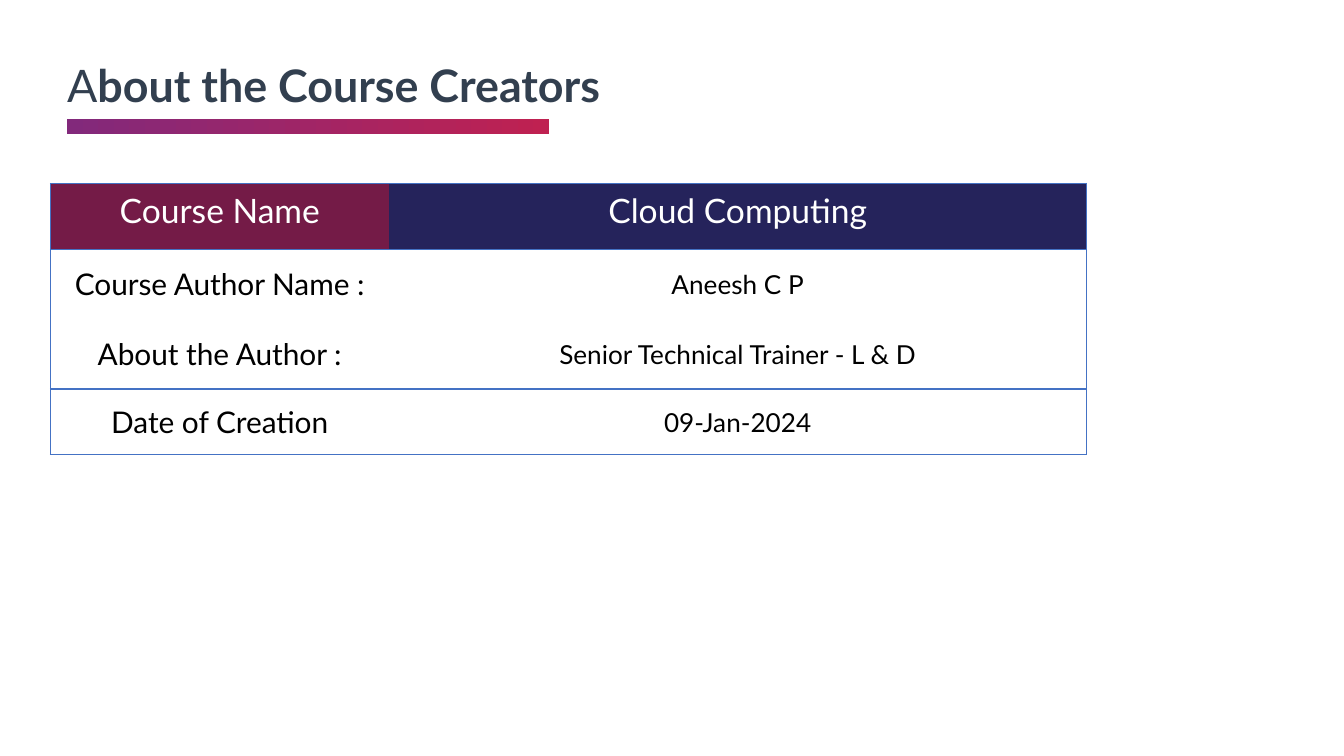
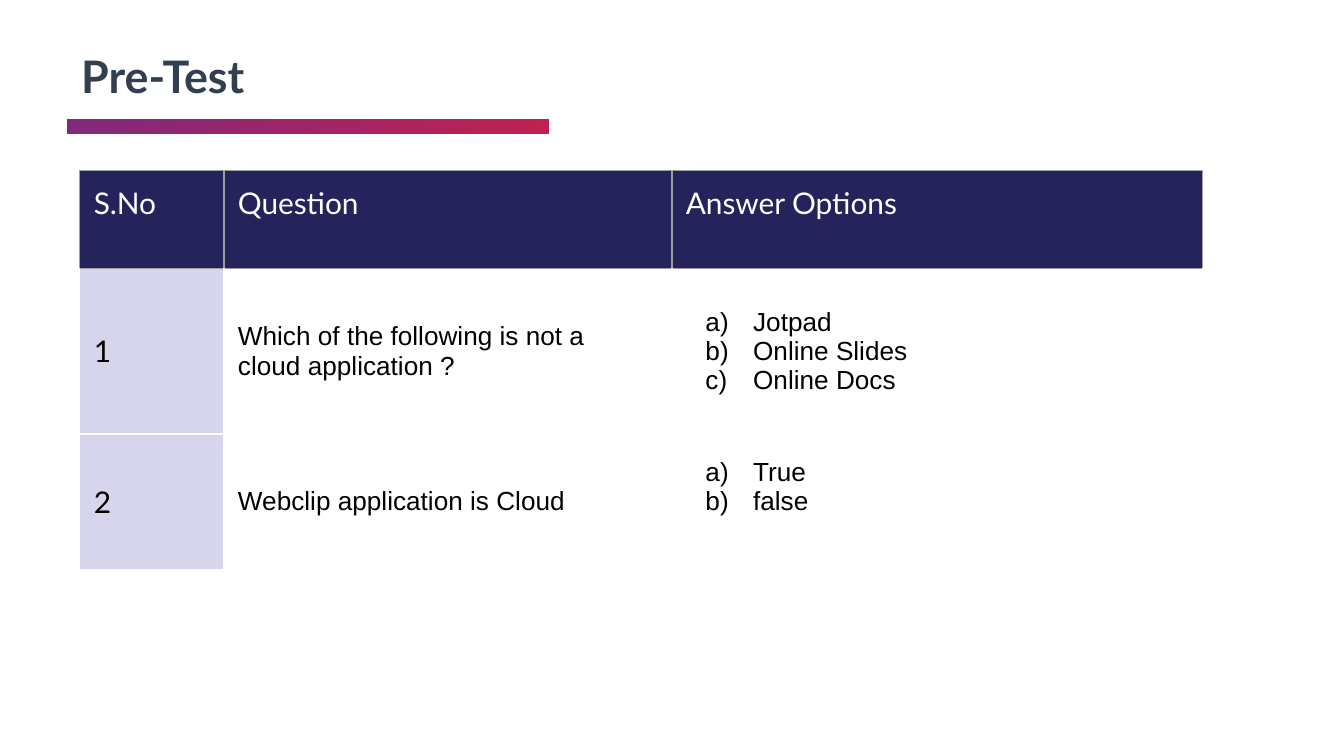
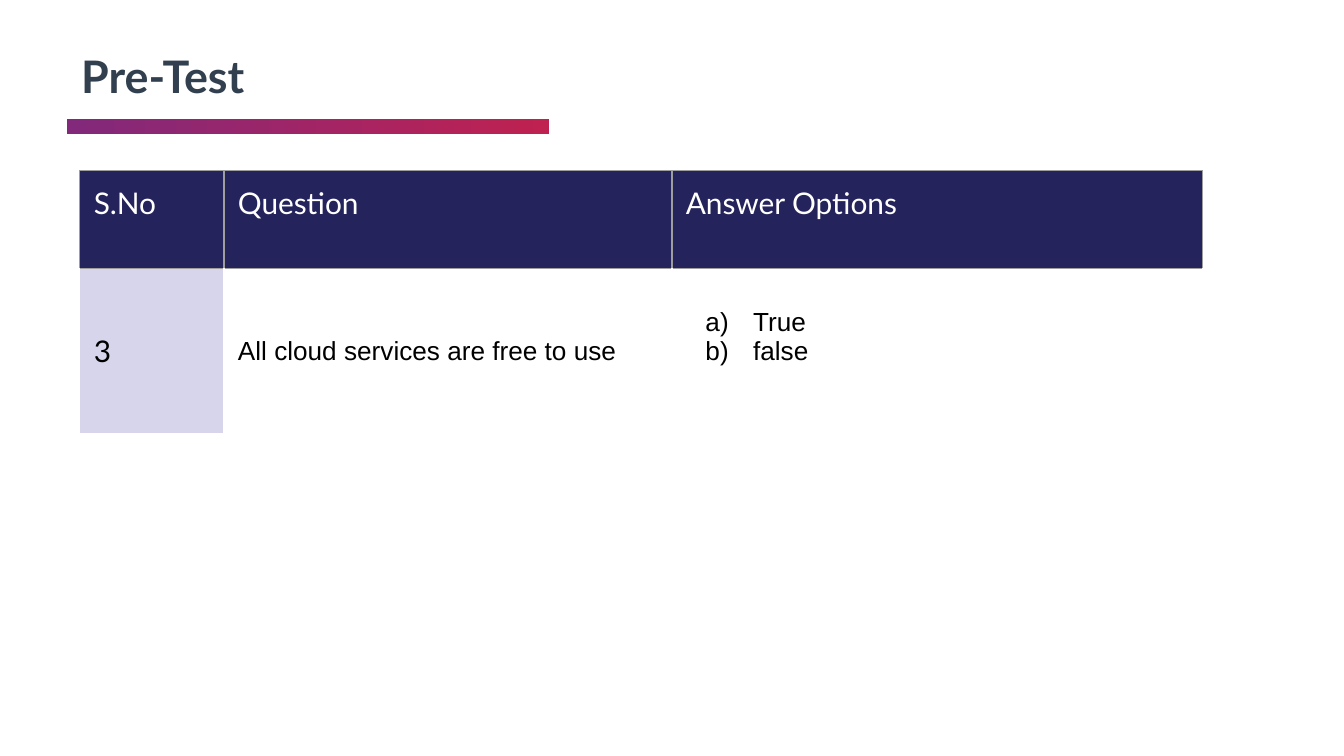
from dataclasses import dataclass

from lxml.etree import SubElement
from pptx import Presentation
from pptx.dml.color import RGBColor
from pptx.enum.shapes import MSO_SHAPE as Shape
from pptx.enum.text import MSO_ANCHOR as Anchor, PP_ALIGN as Align
from pptx.oxml.ns import qn
from pptx.util import Pt

PX = 9525


@dataclass(frozen=True)
class Theme:
    heading: str = "323F4F"
    bar_start: str = "82297B"
    bar_end: str = "BF2151"
    wine: str = "741B47"
    navy: str = "25235B"
    lilac: str = "D6D5EB"
    blue: str = "4472C4"
    gray: str = "9E9E9E"
    white: str = "FFFFFF"
    black: str = "000000"
    font: str = "Lato"
    body_font: str = "Arial"
    title_size: int = 24
    course_size: int = 18
    label_size: int = 16
    body_size: int = 14
    border: float = 0.75


THEME = Theme()
SLIDE_SIZE = (960, 540)
BAR = (48, 85, 344, 11)
CREATORS_TITLE = (48, 41, 501, 55)
TEST_TITLE = (48, 29, 315, 55)
CREATORS_TABLE = (36, 131)
TEST_TABLE = (57, 122)
CREATORS_COLUMNS = (242, 498)
TEST_COLUMNS = (103, 320, 379)
HEADER_HEIGHT = 70
OPTION_LINE = 21
MOST_OPTIONS = 3

CREATORS = [
    (47, "t", "Course Name", "Cloud Computing"),
    (50, "tb", "Course Author Name :", "Aneesh C P"),
    (50, "", "About the Author :", "Senior Technical Trainer - L & D"),
    (47, "tb", "Date of Creation", "09-Jan-2024"),
]
TESTS = [
    [
        (118, "1", "Which of the following is not a cloud application ?",
         ["Jotpad", "Online Slides", "Online Docs"]),
        (97, "2", "Webclip application is Cloud", ["True", "false"]),
    ],
    [(118, "3", "All cloud services are free to use", ["True", "false"])],
]


def px(values):
    return [value * PX for value in values]


def style(paragraph, size, color, font=THEME.font, bold=False):
    paragraph.font.name = font
    paragraph.font.size = Pt(size)
    paragraph.font.bold = bold
    paragraph.font.color.rgb = RGBColor.from_string(color)


def set_margins(target, left, top, right, bottom):
    target.margin_left, target.margin_top, target.margin_right, target.margin_bottom = px(
        (left, top, right, bottom))


def set_borders(cell, colors):
    properties = cell._tc.get_or_add_tcPr()
    for position, edge in enumerate("lrtb"):
        line = properties.makeelement(qn(f"a:ln{edge.upper()}"), w=str(Pt(THEME.border)))
        if edge in colors:
            fill = SubElement(line, qn("a:solidFill"))
            SubElement(fill, qn("a:srgbClr"), val=colors[edge])
        else:
            SubElement(line, qn("a:noFill"))
        properties.insert(position, line)


def fill_cell(cell, color):
    if color:
        cell.fill.solid()
        cell.fill.fore_color.rgb = RGBColor.from_string(color)
    else:
        cell.fill.background()


def number_options(paragraph):
    properties = paragraph._p.get_or_add_pPr()
    properties.set("marL", str(48 * PX))
    properties.set("indent", str(-34 * PX))
    color = SubElement(properties, qn("a:buClr"))
    SubElement(color, qn("a:srgbClr"), val=THEME.black)
    SubElement(properties, qn("a:buFont"), typeface=THEME.body_font)
    SubElement(properties, qn("a:buAutoNum"), type="alphaLcParenR")


def add_bar(slide, box):
    bar = slide.shapes.add_shape(Shape.RECTANGLE, *px(box))
    bar.shadow.inherit = False
    bar.line.fill.background()
    bar.fill.gradient()
    bar.fill.gradient_angle = 0
    for stop, color in zip(bar.fill.gradient_stops, (THEME.bar_start, THEME.bar_end)):
        stop.color.rgb = RGBColor.from_string(color)


def add_title(slide, box, text, margin=0, light_letters=0, line_spacing=1.0):
    frame = slide.shapes.add_textbox(*px(box)).text_frame
    frame.word_wrap = True
    set_margins(frame, *[margin] * 4)
    paragraph = frame.paragraphs[0]
    paragraph.line_spacing = line_spacing
    style(paragraph, THEME.title_size, THEME.heading, bold=True)
    if light_letters:
        light = paragraph.add_run()
        light.text = text[:light_letters]
        light.font.bold = False
    paragraph.add_run().text = text[light_letters:]


def add_grid(slide, origin, widths, heights):
    box = (*origin, sum(widths), sum(heights))
    table = slide.shapes.add_table(len(heights), len(widths), *px(box)).table
    table.first_row = table.horz_banding = False
    for column, width in zip(table.columns, px(widths)):
        column.width = width
    for row, height in zip(table.rows, px(heights)):
        row.height = height
    return table


def add_creators_table(slide, origin):
    table = add_grid(slide, origin, CREATORS_COLUMNS, [row[0] for row in CREATORS])
    for row, (_, edges, *texts) in enumerate(CREATORS):
        for column, text in enumerate(texts):
            cell = table.cell(row, column)
            cell.text = text
            set_margins(cell, 10, 5, 10, 5)
            paragraph = cell.text_frame.paragraphs[0]
            paragraph.alignment = Align.CENTER
            if row == 0:
                fill_cell(cell, (THEME.wine, THEME.navy)[column])
                style(paragraph, THEME.course_size, THEME.white)
            else:
                cell.vertical_anchor = Anchor.MIDDLE
                fill_cell(cell, None)
                style(paragraph, (THEME.label_size, THEME.body_size)[column], THEME.black)
            set_borders(cell, dict.fromkeys(edges + "lr"[column], THEME.blue))


def add_test_header(table):
    for cell, text in zip(table.rows[0].cells, ("S.No", "Question", "Answer Options")):
        cell.text = text
        set_margins(cell, 10, 10, 10, 10)
        fill_cell(cell, THEME.navy)
        style(cell.text_frame.paragraphs[0], THEME.label_size, THEME.white)
        set_borders(cell, dict.fromkeys("lrtb", THEME.gray))


def add_test_row(table, row, number, question, options):
    number_cell, question_cell, options_cell = cells = list(table.rows[row].cells)
    for cell, text in zip(cells, (number, question, "\n".join(options))):
        cell.text = text
        cell.vertical_anchor = Anchor.MIDDLE
        set_margins(cell, 10, 10, 29, 10)
        fill_cell(cell, THEME.lilac if cell is number_cell else None)
        borders = dict.fromkeys("lrtb", THEME.white)
        if row == 1:
            borders["t"] = THEME.gray
        set_borders(cell, borders)
    number_cell.margin_right = 10 * PX
    options_cell.margin_bottom = (10 + (MOST_OPTIONS - len(options)) * OPTION_LINE) * PX
    style(number_cell.text_frame.paragraphs[0], THEME.label_size, THEME.black)
    style(question_cell.text_frame.paragraphs[0], THEME.body_size, THEME.black, THEME.body_font)
    for paragraph in options_cell.text_frame.paragraphs:
        number_options(paragraph)
        style(paragraph, THEME.body_size, THEME.black, THEME.body_font)


def add_test_table(slide, origin, questions):
    heights = [HEADER_HEIGHT, *(question[0] for question in questions)]
    table = add_grid(slide, origin, TEST_COLUMNS, heights)
    add_test_header(table)
    for row, (_, *content) in enumerate(questions, 1):
        add_test_row(table, row, *content)


def add_slide(presentation):
    slide = presentation.slides.add_slide(presentation.slide_layouts[6])
    add_bar(slide, BAR)
    return slide


def add_creators_slide(presentation):
    slide = add_slide(presentation)
    add_title(slide, CREATORS_TITLE, "About the Course Creators", light_letters=1)
    add_creators_table(slide, CREATORS_TABLE)


def add_test_slide(presentation, questions):
    slide = add_slide(presentation)
    add_title(slide, TEST_TITLE, "Pre-Test", margin=10, line_spacing=0.9)
    add_test_table(slide, TEST_TABLE, questions)


def main():
    presentation = Presentation()
    presentation.slide_width, presentation.slide_height = px(SLIDE_SIZE)
    add_creators_slide(presentation)
    for questions in TESTS:
        add_test_slide(presentation, questions)
    presentation.save("out.pptx")


if __name__ == "__main__":
    main()
